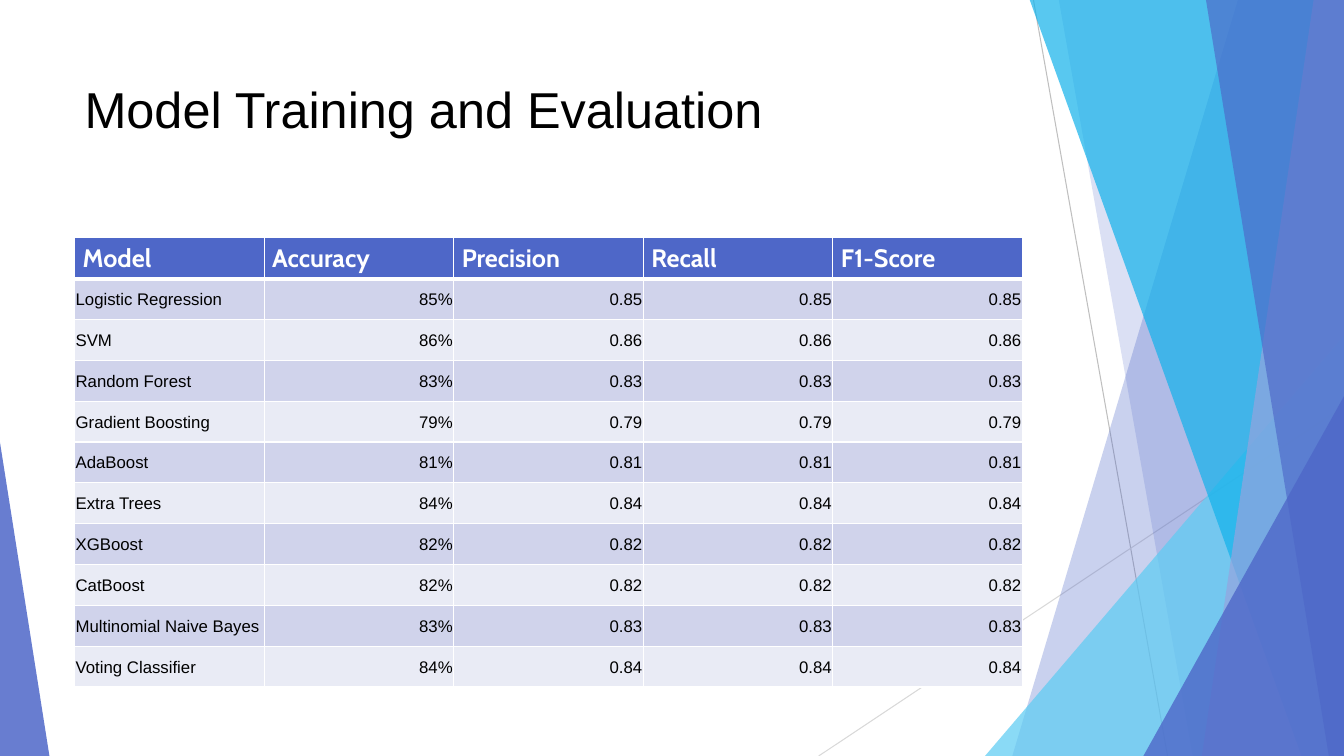
from lxml import etree
from pptx import Presentation
from pptx.dml.color import RGBColor
from pptx.enum import shapes, text
from pptx.oxml import ns
from pptx.util import Inches, Pt


def color(fmt, value, alpha=100):
    """Make a fill solid in a hex colour, with opacity in percent."""
    fmt.solid()
    fmt.fore_color.rgb = RGBColor.from_string(value)
    if alpha < 100:
        clr = fmt._xPr.find(".//" + ns.qn("a:srgbClr"))
        etree.SubElement(clr, ns.qn("a:alpha"), val=str(alpha * 1000))


def write(tf, words, size, font="Arial", fill="000000", bold=False,
          align=text.PP_ALIGN.LEFT):
    p = tf.paragraphs[0]
    p.alignment = align
    r = p.add_run()
    r.text = words
    r.font.size, r.font.name, r.font.bold = Pt(size), font, bold
    color(r.font.fill, fill)


prs = Presentation()
prs.slide_width, prs.slide_height = Inches(13.33), Inches(7.5)
slide = prs.slides.add_slide(prs.slide_layouts[6])
sp_tree = slide.shapes

# Thin lines behind the facets
for x1, y1, x2, y2, line_color in [(10.25, 0, 11.58, 7.5, "BFBFBF"),
                                   (13.33, 4.03, 8.12, 7.5, "D9D9D9")]:
    line = sp_tree.add_connector(shapes.MSO_CONNECTOR.STRAIGHT, Inches(x1),
                                 Inches(y1), Inches(x2), Inches(y2))
    line.line.width = Pt(0.75)
    color(line.line.fill, line_color)
    etree.SubElement(line._element.spPr, ns.qn("a:effectLst"))

# Facets, back to front: a band is (top x, bottom x) and runs to the right
# edge; a triangle is (left, top, width, height, apex)
facets = [
    ((12.28, 10.04), "4E67C8", 30),
    ((10.5, 11.83), "4E67C8", 20),
    ((9.77, 3.33, 3.56, 4.17, 1), "5ECCF3", 72),
    ((10.21, 12.91), "12B2EB", 70),
    ((13.03, 11.92), "95A4DE", 70),
    ((11.96, 13.18), "4E67C8", 65),
    ((11.34, 3.93, 1.99, 3.57, 1), "4E67C8", 80),
    ((0, 4.39, 0.49, 3.11, 0), "4E67C8", 85),
]
for geometry, fill, alpha in facets:
    if len(geometry) == 2:
        top_x, bottom_x = map(Inches, geometry)
        top, right, bottom = Inches(-0.01), Inches(13.33), Inches(7.5)
        outline = sp_tree.build_freeform(top_x, top)
        outline.add_line_segments([(right, top), (right, bottom),
                                   (bottom_x, bottom)])
        sp = outline.convert_to_shape()
    else:
        *box, apex = geometry
        sp = sp_tree.add_shape(shapes.MSO_SHAPE.ISOSCELES_TRIANGLE,
                               *map(Inches, box))
        sp.adjustments[0] = apex
    color(sp.fill, fill, alpha)
    sp.line.fill.background()
    sp.shadow.inherit = False

# Title
title = sp_tree.add_textbox(Inches(0.74), Inches(0.67), Inches(9.4), Inches(1.44))
tf = title.text_frame
tf.word_wrap = True
tf.margin_top = Inches(0.11)
write(tf, "Model Training and Evaluation", 36)

# Table of scores: every metric of a model shares one percentage
header = ["Model", "Accuracy", "Precision", "Recall", "F1-Score"]
scores = {
    "Logistic Regression": 85, "SVM": 86, "Random Forest": 83,
    "Gradient Boosting": 79, "AdaBoost": 81, "Extra Trees": 84,
    "XGBoost": 82, "CatBoost": 82, "Multinomial Naive Bayes": 83,
    "Voting Classifier": 84,
}
rows = [header] + [[model, f"{n}%"] + [f"{n / 100:.2f}"] * 3
                   for model, n in scores.items()]
table = sp_tree.add_table(len(rows), len(header), Inches(0.74), Inches(2.36),
                          Inches(9.4), Inches(4.46)).table
table.horz_banding = False
for i, row in enumerate(rows):
    table.rows[i].height = Inches(4.46 / len(rows))
    for j, words in enumerate(row):
        cell = table.cell(i, j)
        if i == 0:
            fill, side, top, bottom = "4E67C8", 0.08, 0.05, 0.05
            write(cell.text_frame, words, 18, "Cabin", "FFFFFF", True)
        else:
            fill, side, top, bottom = "D0D3EB" if i % 2 else "E9EBF5", 0.01, 0.01, 0
            cell.vertical_anchor = text.MSO_ANCHOR.MIDDLE
            write(cell.text_frame, words, 12,
                  align=text.PP_ALIGN.RIGHT if j else text.PP_ALIGN.LEFT)
        color(cell.fill, fill)
        cell.margin_left = cell.margin_right = Inches(side)
        cell.margin_top, cell.margin_bottom = Inches(top), Inches(bottom)

        # White borders, thicker under the header
        tc_pr = cell._tc.get_or_add_tcPr()
        for k, edge in enumerate(["lnL", "lnR", "lnT", "lnB"]):
            thick = (i, edge) in [(0, "lnB"), (1, "lnT")]
            ln = etree.Element(ns.qn("a:" + edge), w=str(Pt(3 if thick else 1)))
            solid = etree.SubElement(ln, ns.qn("a:solidFill"))
            etree.SubElement(solid, ns.qn("a:srgbClr"), val="FFFFFF")
            tc_pr.insert(k, ln)

prs.save("out.pptx")
